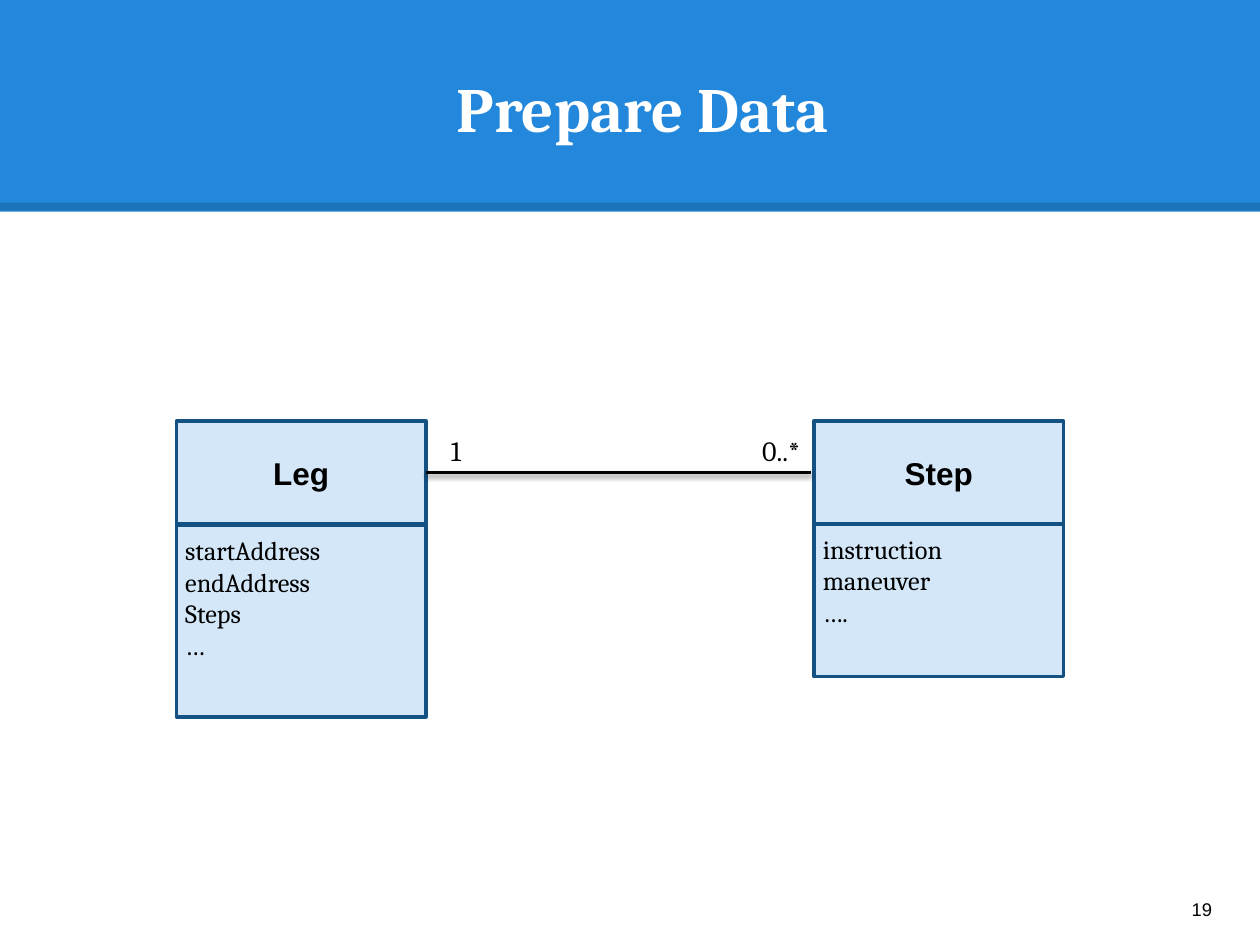
from dataclasses import dataclass

from lxml import etree
from pptx import Presentation
from pptx import util as u
from pptx.dml import color
from pptx.enum import shapes, text
from pptx.oxml import ns

COLORS = {"band": "2388DB", "box": "D3E7F8", "border": "155284",
          "ink": "000000", "title": "FFFFFF"}
FORMATS = {
    "title": {"name": "Cambria", "size": u.Pt(36), "bold": True},
    "class": {"name": "Arial", "size": u.Pt(18), "bold": True},
    "attribute": {"name": "Cambria", "size": u.Pt(15), "bold": False},
    "multiplicity": {"name": "Cambria", "size": u.Pt(16), "bold": False},
    "number": {"name": "Arial", "size": u.Pt(10.5), "bold": False},
}
LEFT, CENTER = text.PP_ALIGN.LEFT, text.PP_ALIGN.CENTER
TOP, MIDDLE, BOTTOM = (text.MSO_ANCHOR.TOP, text.MSO_ANCHOR.MIDDLE,
                       text.MSO_ANCHOR.BOTTOM)
BOX_WIDTH, HEAD_TOP, HEAD_HEIGHT = 1.98, 3.34, 0.82


@dataclass
class UmlClass:
    name: str
    left: float
    body_top: float
    body_height: float
    attributes: list[str]


@dataclass
class Label:
    wording: str
    left: float
    top: float
    width: float
    height: float
    style: str
    inset: float
    anchor: text.MSO_ANCHOR
    wrap: bool


CLASSES = [
    UmlClass("Leg", 1.4, 4.17, 1.52, ["startAddress", "endAddress", "Steps", "…"]),
    UmlClass("Step", 6.46, 4.16, 1.21, ["instruction", "maneuver", "…."]),
]
LABELS = [
    Label("1", 3.48, 3.34, 0.33, 0.37, "multiplicity", 0.1, TOP, False),
    Label("0..*", 5.95, 3.34, 0.51, 0.37, "multiplicity", 0.1, TOP, False),
    Label("19", 9.36, 6.93, 0.6, 0.57, "number", 0.1, MIDDLE, True),
]


def rgb(key: str) -> color.RGBColor:
    return color.RGBColor.from_string(COLORS[key])


def write(shape, lines: list[str], style: str, inset: float, anchor,
          align=LEFT, ink: str = "ink", wrap: bool = True) -> None:
    frame = shape.text_frame
    frame.text = "\n".join(lines)
    sides = {f"margin_{side}": u.Inches(inset) for side in ("left", "right", "top", "bottom")}
    settings = sides | {"vertical_anchor": anchor, "word_wrap": wrap,
                        "auto_size": text.MSO_AUTO_SIZE.NONE}
    for name, value in settings.items():
        setattr(frame, name, value)
    for paragraph in frame.paragraphs:
        paragraph.alignment = align
        for run in paragraph.runs:
            for name, value in FORMATS[style].items():
                setattr(run.font, name, value)
            run.font.color.rgb = rgb(ink)


def add_box(slide, left: float, top: float, width: float, height: float,
            fill: str, border: str | None = None):
    box = slide.shapes.add_shape(shapes.MSO_SHAPE.RECTANGLE, u.Inches(left),
                                 u.Inches(top), u.Inches(width), u.Inches(height))
    box.shadow.inherit = False
    box.fill.solid()
    box.fill.fore_color.rgb = rgb(fill)
    if border:
        box.line.color.rgb = rgb(border)
        box.line.width = u.Pt(2)
    else:
        box.line.fill.background()
    return box


def add_line(slide, start: float, end: float, y: float, width: float):
    """Draw a horizontal black line and return it with its empty effect list."""
    line = slide.shapes.add_connector(shapes.MSO_CONNECTOR.STRAIGHT, u.Inches(start),
                                      u.Inches(y), u.Inches(end), u.Inches(y))
    line.line.color.rgb = rgb("ink")
    line.line.width = u.Pt(width)
    effects = etree.SubElement(line._element.spPr, ns.qn("a:effectLst"))
    return line, effects


def set_alpha(color_element, percent: int) -> None:
    etree.SubElement(color_element, ns.qn("a:alpha"), val=str(percent * 1000))


def add_class(slide, uml: UmlClass) -> None:
    body = add_box(slide, uml.left, uml.body_top, BOX_WIDTH, uml.body_height, "box", "border")
    write(body, uml.attributes, "attribute", 0.07, TOP)
    head = add_box(slide, uml.left, HEAD_TOP, BOX_WIDTH, HEAD_HEIGHT, "box", "border")
    write(head, [uml.name], "class", 0.07, MIDDLE, CENTER)


def add_label(slide, label: Label) -> None:
    box = slide.shapes.add_textbox(u.Inches(label.left), u.Inches(label.top),
                                   u.Inches(label.width), u.Inches(label.height))
    write(box, [label.wording], label.style, label.inset, label.anchor, wrap=label.wrap)


deck = Presentation()
deck.slide_width, deck.slide_height = u.Inches(10), u.Inches(7.5)
slide = deck.slides.add_slide(deck.slide_layouts[5])

# Header band with its translucent lower edge
add_box(slide, 0, 0, 10, 1.68, "band")
edge, _ = add_line(slide, 0, 10, 1.64, 4.5)
set_alpha(edge._element.spPr.find(".//" + ns.qn("a:srgbClr")), 15)

# Title, brought in front of the band
title = slide.shapes.title
title.left, title.top = u.Inches(0.24), u.Inches(0.33)
title.width, title.height = u.Inches(9.72), u.Inches(0.92)
write(title, ["Prepare Data"], "title", 0.1, BOTTOM, CENTER, "title")
slide.shapes._spTree.append(title._element)

# Classes
for uml_class in CLASSES:
    add_class(slide, uml_class)

# Association with a soft shadow below it
_, association_effects = add_line(slide, 3.38, 6.44, 3.75, 2)
shadow = etree.SubElement(association_effects, ns.qn("a:outerShdw"),
                          blurRad=str(u.Pt(3.1)), dist=str(u.Pt(1.6)),
                          dir=str(90 * 60000), rotWithShape="0")
set_alpha(etree.SubElement(shadow, ns.qn("a:srgbClr"), val=COLORS["ink"]), 38)

# Multiplicities and slide number
for label in LABELS:
    add_label(slide, label)

deck.save("out.pptx")
